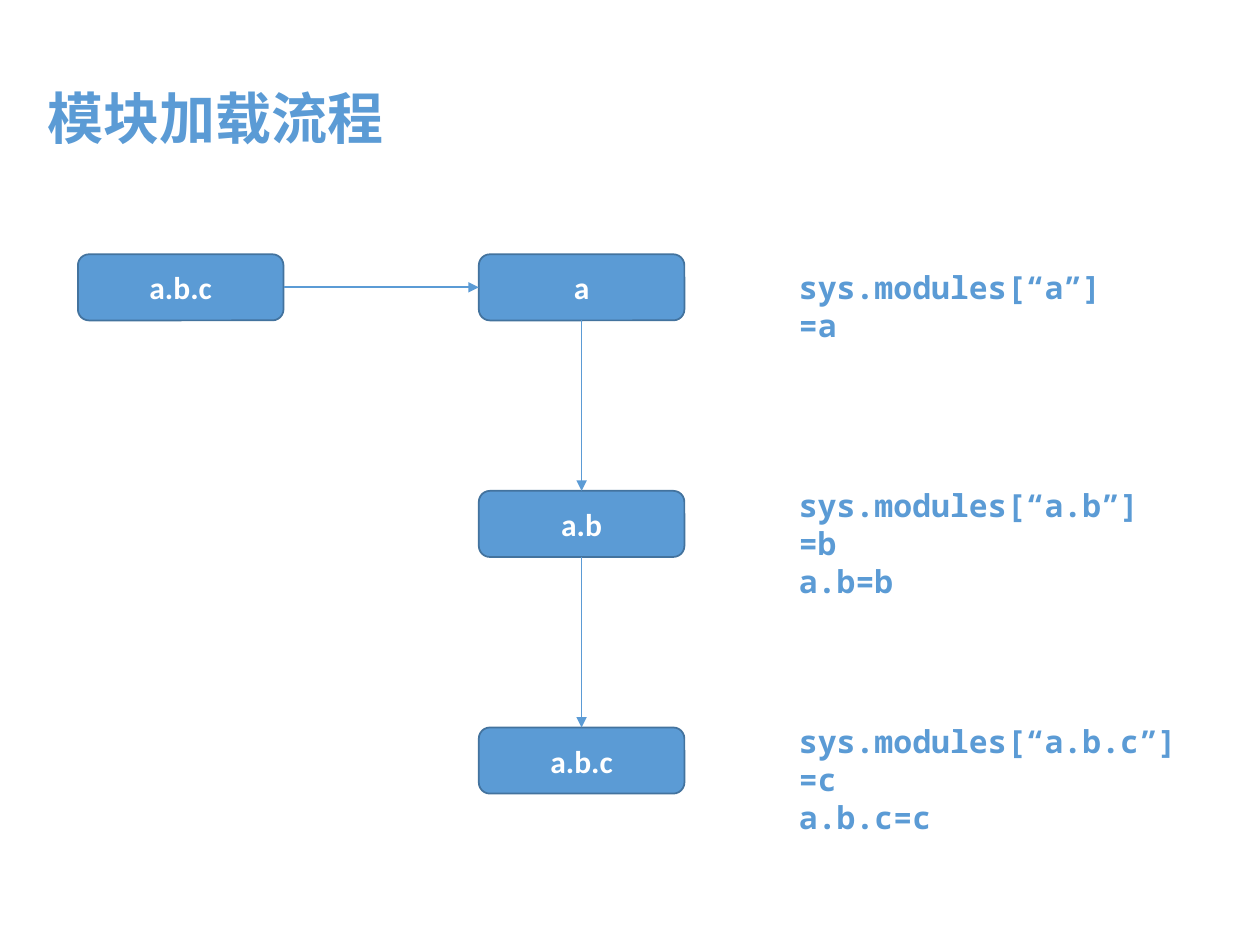
from lxml import etree
from pptx import Presentation
from pptx.dml.color import RGBColor
from pptx.enum.shapes import MSO_CONNECTOR, MSO_SHAPE
from pptx.enum.text import MSO_ANCHOR, PP_ALIGN
from pptx.oxml.ns import qn
from pptx.util import Pt

BLUE = RGBColor(0x5B, 0x9B, 0xD5)
DARK_BLUE = RGBColor(0x43, 0x73, 0x9E)
WHITE = RGBColor(0xFF, 0xFF, 0xFF)
ROUNDED = MSO_SHAPE.FLOWCHART_ALTERNATE_PROCESS
STRAIGHT = MSO_CONNECTOR.STRAIGHT
MIDDLE = MSO_ANCHOR.MIDDLE
CENTER = PP_ALIGN.CENTER

SANS = "Calibri"
MONO = "Noto Sans Mono"
NODE_WIDTH, NODE_HEIGHT = 117.5, 37.8
START_LEFT, CHAIN_LEFT, NOTE_LEFT = 44.5, 273.6, 449.4
FIRST_TOP, ROW_STEP = 145.3, 135.2
TOP_SIDE, LEFT_SIDE, BOTTOM_SIDE, RIGHT_SIDE = range(4)

STEPS = [
    ("a", ["sys.modules[“a”]=a"], 149.8, 193.7),
    ("a.b", ["sys.modules[“a.b”]=b", "a.b=b"], 274.3, 213.8),
    ("a.b.c", ["sys.modules[“a.b.c”]=c", "a.b.c=c"], 409, 234),
]


def style_font(paragraph, name, size, color):
    font = paragraph.font
    font.name, font.size, font.bold = name, Pt(size), True
    font.color.rgb = color


def add_text(page, lines, left, top, width, height, name, size, wrap, spacing=None):
    box = page.shapes.add_textbox(Pt(left), Pt(top), Pt(width), Pt(height))
    frame = box.text_frame
    frame.word_wrap = wrap
    frame.text = "\n".join(lines)
    for paragraph in frame.paragraphs:
        style_font(paragraph, name, size, BLUE)
        if spacing:
            paragraph.line_spacing = Pt(spacing)


def add_node(page, label, left, top):
    node = page.shapes.add_shape(
        ROUNDED, Pt(left), Pt(top), Pt(NODE_WIDTH), Pt(NODE_HEIGHT))
    node.shadow.inherit = False
    node.fill.solid()
    node.fill.fore_color.rgb = BLUE
    node.line.color.rgb = DARK_BLUE
    node.line.width = Pt(1)
    frame = node.text_frame
    frame.vertical_anchor = MIDDLE
    frame.text = label
    paragraph = frame.paragraphs[0]
    paragraph.alignment = CENTER
    style_font(paragraph, SANS, 18, WHITE)
    return node


def add_arrow(page, source, source_side, target, target_side):
    arrow = page.shapes.add_connector(STRAIGHT, 0, 0, 0, 0)
    arrow.begin_connect(source, source_side)
    arrow.end_connect(target, target_side)
    arrow.line.color.rgb = BLUE
    arrow.line.width = Pt(1)
    etree.SubElement(arrow.line._get_or_add_ln(), qn("a:tailEnd"), type="triangle")
    etree.SubElement(arrow._element.spPr, qn("a:effectLst"))


def main():
    deck = Presentation()
    deck.slide_width, deck.slide_height = Pt(720), Pt(540)
    page = deck.slides.add_slide(deck.slide_layouts[6])

    add_text(page, ["模块加载流程"], 20.2, 43.9, 209.5, 46, SANS, 32, False)

    previous = add_node(page, "a.b.c", START_LEFT, FIRST_TOP)
    sides = (RIGHT_SIDE, LEFT_SIDE)
    for row, (label, lines, note_top, note_width) in enumerate(STEPS):
        node = add_node(page, label, CHAIN_LEFT, FIRST_TOP + row * ROW_STEP)
        add_arrow(page, previous, sides[0], node, sides[1])
        note_height = 7.2 + 21.6 * len(lines)
        add_text(page, lines, NOTE_LEFT, note_top, note_width, note_height,
                 MONO, 18, True, 21.6)
        previous, sides = node, (BOTTOM_SIDE, TOP_SIDE)

    deck.save("out.pptx")


main()
